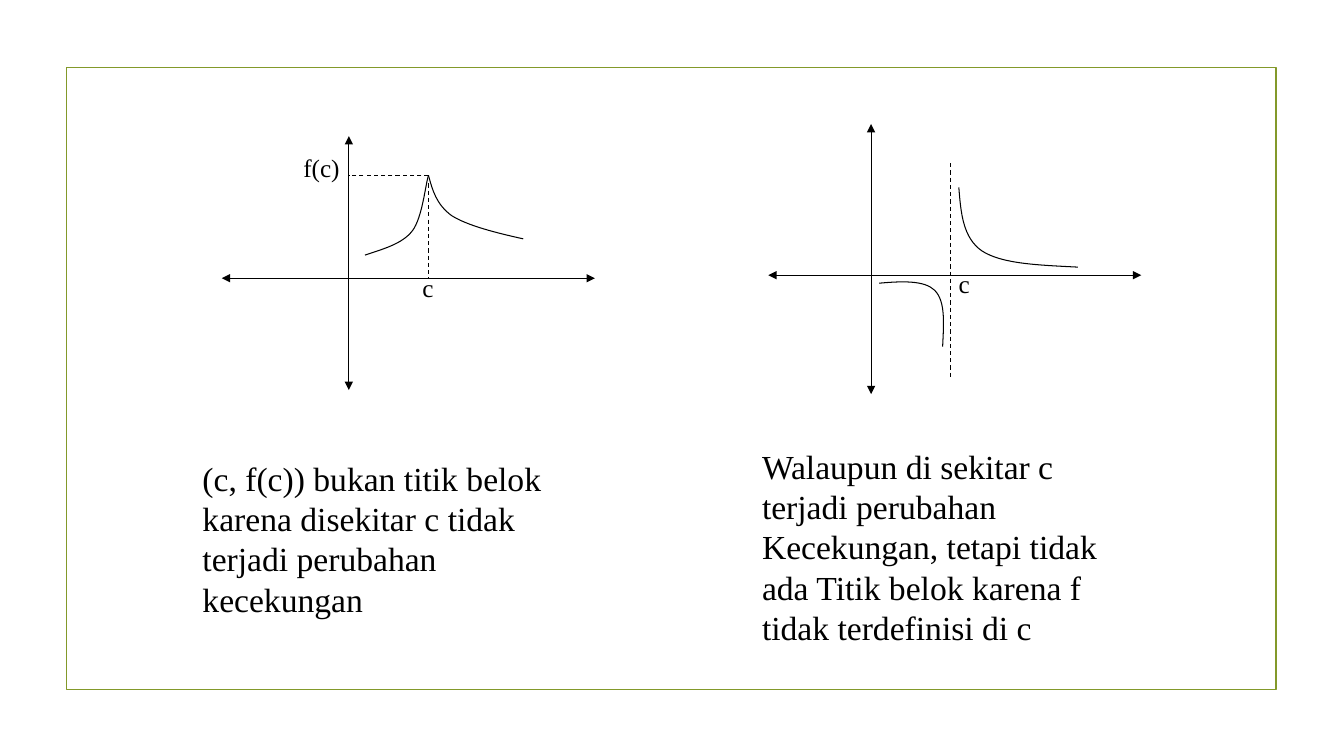
from dataclasses import dataclass

from lxml.etree import SubElement
from pptx import Presentation
from pptx.dml.color import RGBColor
from pptx.enum.dml import MSO_LINE
from pptx.enum.shapes import MSO_CONNECTOR, MSO_SHAPE
from pptx.enum.text import MSO_AUTO_SIZE
from pptx.oxml.ns import qn
from pptx.util import Inches, Pt


@dataclass(frozen=True)
class Theme:
    ink: RGBColor = RGBColor(0x00, 0x00, 0x00)
    frame: RGBColor = RGBColor(0x83, 0x99, 0x2A)
    font: str = "Times New Roman"
    label: int = 18
    caption: int = 24
    thin: float = 0.75
    border: float = 1.25


THEME = Theme()
AXIS_WIDTH = 3.7
CAPTION_TOP = 3.14


def add_text(s, x, y, w, h, *lines, size=THEME.label, wrap=False):
    tf = s.shapes.add_textbox(Inches(x), Inches(y), Inches(w), Inches(h)).text_frame
    tf.word_wrap = wrap
    tf.auto_size = MSO_AUTO_SIZE.SHAPE_TO_FIT_TEXT
    for i, line in enumerate(lines):
        p = tf.paragraphs[0] if i == 0 else tf.add_paragraph()
        r = p.add_run()
        r.text = line
        r.font.name = THEME.font
        r.font.size = Pt(size)
        r.font.color.rgb = THEME.ink


def add_line(s, x1, y1, x2, y2, arrows=False, dashed=False):
    sp = s.shapes.add_connector(
        MSO_CONNECTOR.STRAIGHT, Inches(x1), Inches(y1), Inches(x2), Inches(y2))
    sp.line.color.rgb = THEME.ink
    sp.line.width = Pt(THEME.thin)
    if dashed:
        sp.line.dash_style = MSO_LINE.DASH
    if arrows:
        ln = sp.line._get_or_add_ln()
        for end in ("a:headEnd", "a:tailEnd"):
            SubElement(ln, qn(end), type="triangle")
    SubElement(sp._element.spPr, qn("a:effectLst"))


def add_curve(s, left, top, points):
    """Draw joined cubic segments; each shares its end with the next."""
    start, *rest = [(Inches(left + x), Inches(top + y)) for x, y in points]
    fb = s.shapes.build_freeform(*start)
    fb.add_line_segments(rest, close=False)
    sp = fb.convert_to_shape()
    # Turn every three line points into one cubic segment
    steps = list(sp._element.iter(qn("a:lnTo")))
    for i in range(0, len(steps), 3):
        cubic = SubElement(steps[i].getparent(), qn("a:cubicBezTo"))
        for step in steps[i:i + 3]:
            cubic.append(step[0])
            step.getparent().remove(step)
    sp.shadow.inherit = False
    sp.fill.background()
    sp.line.color.rgb = THEME.ink
    sp.line.width = Pt(THEME.thin)


def add_axes(s, left, top, origin_x, origin_y, height, x_start):
    add_line(s, left + origin_x, top, left + origin_x, top + height, arrows=True)
    add_line(s, left + x_start, top + origin_y,
             left + x_start + AXIS_WIDTH, top + origin_y, arrows=True)


def add_caption(s, left, top, width, height, *lines):
    add_text(s, left, top + CAPTION_TOP, width, height, *lines,
             size=THEME.caption, wrap=True)


def add_frame(s, left, top, width, height):
    sp = s.shapes.add_shape(MSO_SHAPE.RECTANGLE, Inches(left), Inches(top),
                            Inches(width), Inches(height))
    sp.shadow.inherit = False
    sp.fill.background()
    sp.line.color.rgb = THEME.frame
    sp.line.width = Pt(THEME.border)


def cusp_panel(s, left, top, width):
    axis_x, axis_y = 1.55, 1.41
    cx, cy = cusp = (2.34, 0.39)
    add_axes(s, left, top, axis_x, axis_y, height=2.52, x_start=0.29)
    # Both branches meet at the cusp
    add_curve(s, left, top, [(1.71, 1.18), (1.89, 1.12), (2.08, 1.07), (2.18, 0.94),
                             (2.28, 0.81), (2.31, 0.48), cusp])
    add_curve(s, left, top, [cusp, (2.38, 0.54), (2.42, 0.68), (2.57, 0.79),
                             (2.73, 0.89), (3.01, 0.96), (3.28, 1.02)])
    # Guides and labels
    add_line(s, left + cx, top + cy + 0.08, left + cx, top + axis_y, dashed=True)
    add_line(s, left + cx, top + cy, left + axis_x, top + cy, dashed=True)
    add_text(s, left + 2.18, top + 1.3, 0.33, 0.43, "c")
    add_text(s, left + 1, top + 0.11, 0.63, 0.43, "f(c)")
    add_caption(s, left, top, width, 1.31, "(c, f(c)) bukan titik belok",
                "karena disekitar c tidak", "terjadi perubahan kecekungan")


def asymptote_panel(s, left, top, width):
    add_axes(s, left, top, 1.18, 1.5, height=2.68, x_start=0.16)
    # Asymptote with a branch on each side
    add_line(s, left + 1.97, top + 0.39, left + 1.97, top + 2.52, dashed=True)
    add_curve(s, left, top, [(1.26, 1.58), (1.48, 1.56), (1.71, 1.55), (1.81, 1.65),
                             (1.92, 1.76), (1.9, 1.98), (1.89, 2.21)])
    add_curve(s, left, top, [(2.05, 0.63), (2.07, 0.88), (2.09, 1.13), (2.28, 1.26),
                             (2.48, 1.39), (2.85, 1.4), (3.23, 1.42)])
    add_text(s, left + 1.95, top + 1.38, 0.33, 0.43, "c")
    add_caption(s, left, top, width, 2.12, "Walaupun di sekitar c", "terjadi perubahan",
                "Kecekungan, tetapi tidak ada Titik belok karena f tidak terdefinisi di c")


def main():
    prs = Presentation()
    prs.slide_width, prs.slide_height = Inches(13.33), Inches(7.5)
    s = prs.slides.add_slide(prs.slide_layouts[6])
    add_frame(s, 0.66, 0.67, 12, 6.17)
    cusp_panel(s, 1.91, 1.35, 4.11)
    asymptote_panel(s, 7.46, 1.23, 3.77)
    prs.save("out.pptx")


if __name__ == "__main__":
    main()
